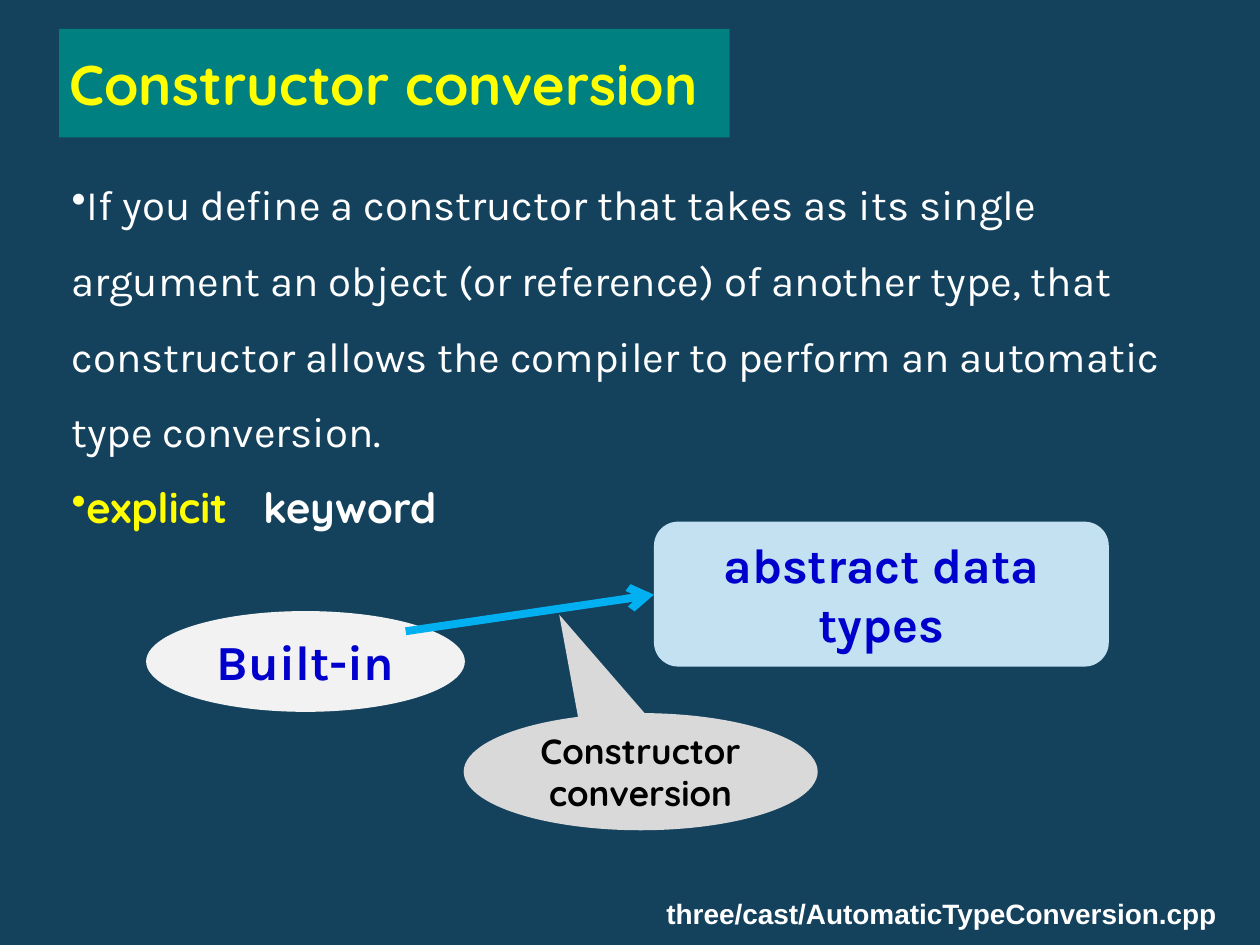
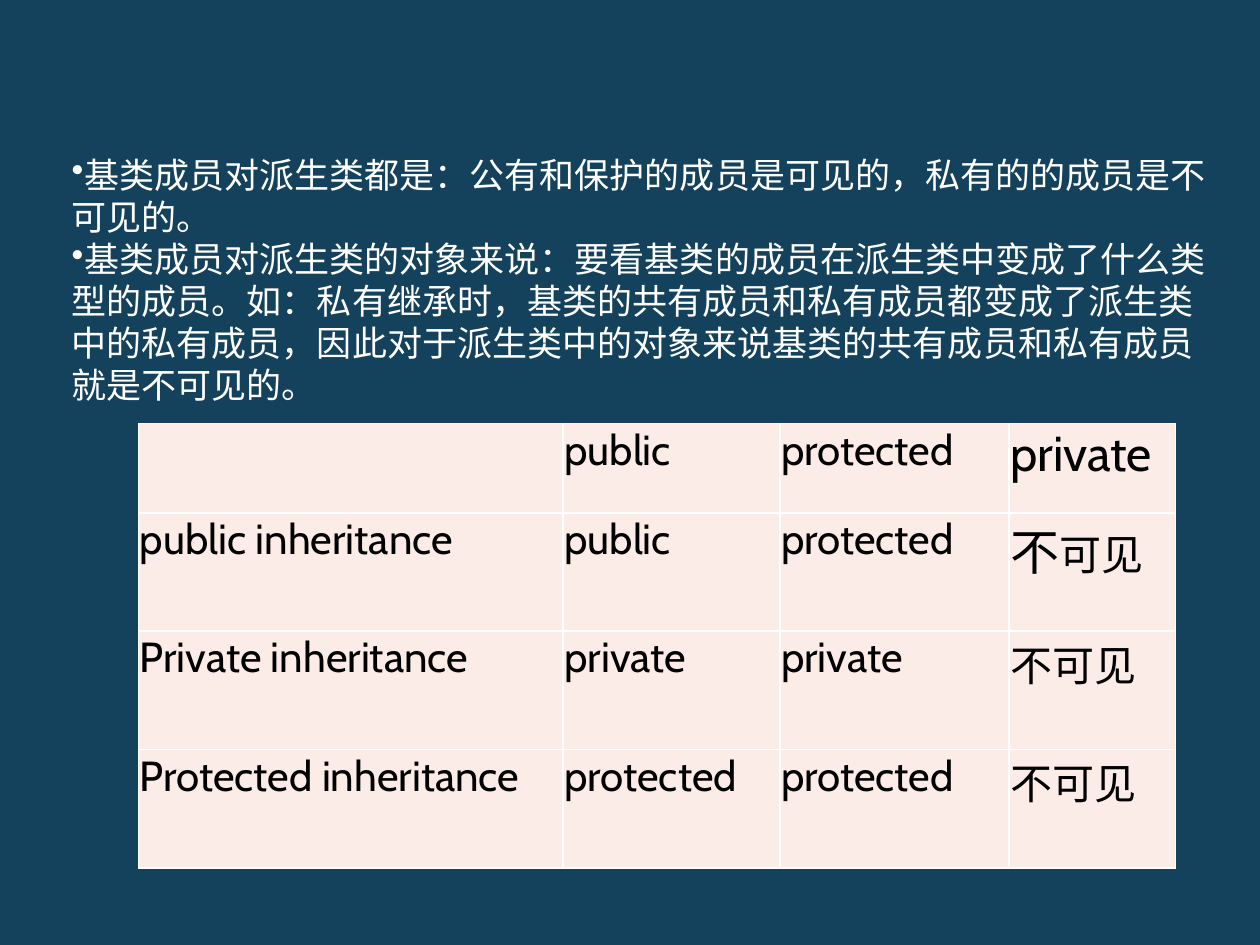
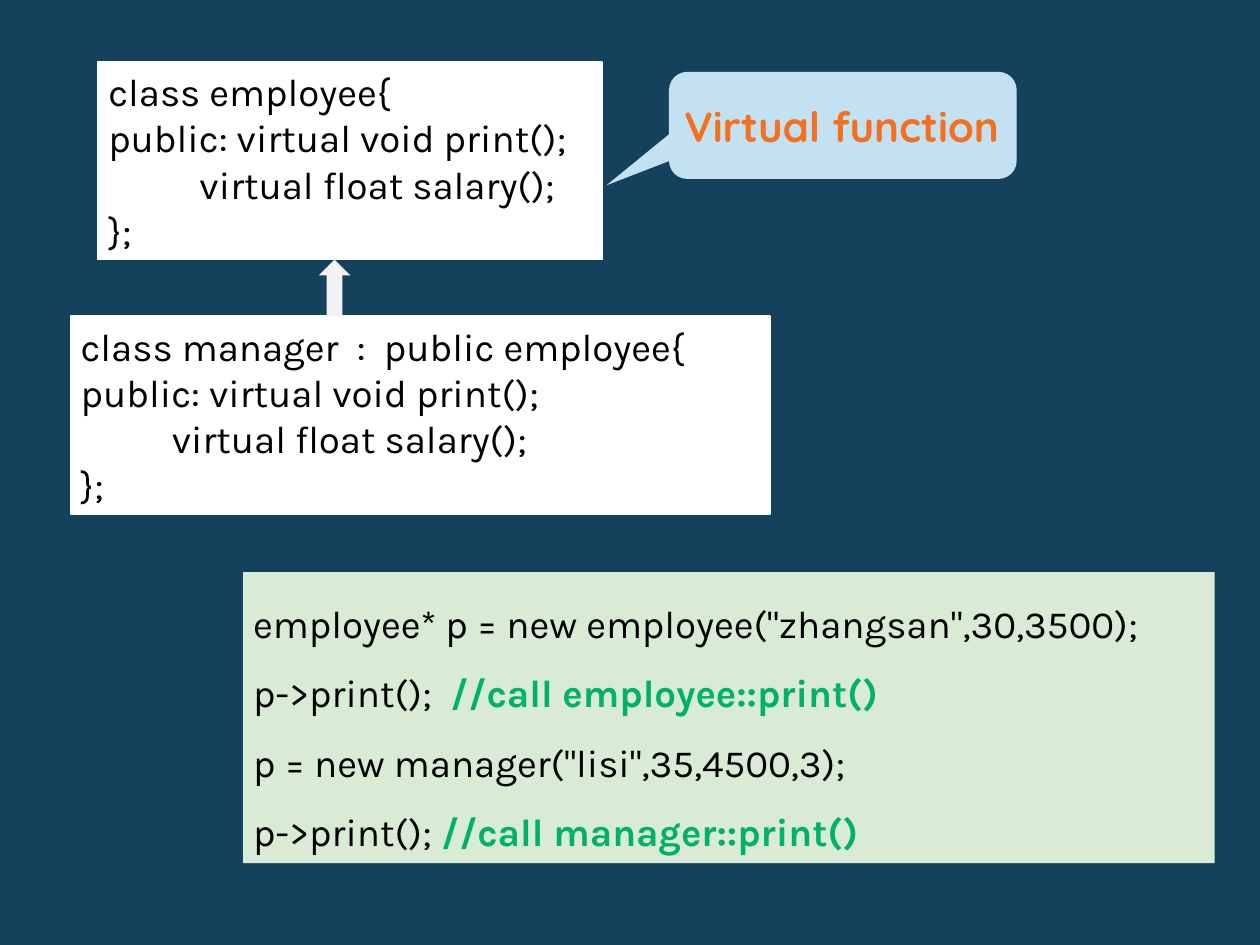
from dataclasses import dataclass
from typing import NamedTuple

from lxml import etree
from pptx import Presentation
from pptx.dml.color import RGBColor
from pptx.enum.shapes import MSO_CONNECTOR, MSO_SHAPE
from pptx.enum.text import MSO_ANCHOR, PP_ALIGN
from pptx.oxml.ns import qn
from pptx.util import Inches, Pt

RECT = MSO_SHAPE.RECTANGLE
ELLIPSE = MSO_SHAPE.OVAL
ROUNDED = MSO_SHAPE.ROUNDED_RECTANGLE
ELLIPSE_CALLOUT = MSO_SHAPE.OVAL_CALLOUT
ROUNDED_CALLOUT = MSO_SHAPE.ROUNDED_RECTANGULAR_CALLOUT
UP_ARROW = MSO_SHAPE.UP_ARROW
STRAIGHT = MSO_CONNECTOR.STRAIGHT
TOP, MIDDLE = MSO_ANCHOR.TOP, MSO_ANCHOR.MIDDLE
LEFT, CENTER = PP_ALIGN.LEFT, PP_ALIGN.CENTER

TITLE_ONLY, BLANK = 5, 6

NAVY, TEAL, YELLOW = "14425D", "008080", "FFFF00"
WHITE, BLACK, BLUE = "FFFFFF", "000000", "0000CC"
PALE_GRAY, GRAY, PALE_BLUE = "F2F2F2", "D9D9D9", "C4E1F2"
SKY, PINK, PALE_GREEN = "00B0F0", "FCECE7", "D9EAD5"
GREEN, ORANGE = "00B16A", "F37021"

BODY, DISPLAY, CJK, TABLE_FONT = "Karla", "Quicksand", "Noto Sans CJK SC", "Cabin"

WIDE_INSETS = (0.1, 0.05, 0.1, 0.05)
NARROW_INSETS = (0.08, 0.04, 0.08, 0.04)
CELL_INSETS = (0.01, 0.01, 0.01, 0)


class Span(NamedTuple):
    text: str
    size: float
    font: str = BODY
    color: str = BLACK
    bold: bool = False


Lines = list[list[Span]]


class Box(NamedTuple):
    left: float
    top: float
    width: float
    height: float

    def emu(self) -> list[int]:
        return [Inches(v) for v in self]


@dataclass
class TextStyle:
    insets: tuple = WIDE_INSETS
    anchor: MSO_ANCHOR = TOP
    align: PP_ALIGN = LEFT
    spacing: float = 1.0
    bullet: str = ""
    tab: float = 0


@dataclass
class Panel:
    kind: MSO_SHAPE
    box: Box
    fill: str
    lines: Lines
    style: TextStyle
    line: str = ""
    adjustments: tuple = ()


CENTERED = TextStyle(align=CENTER)
CODE = TextStyle(NARROW_INSETS, MIDDLE)


def rgb(color: str) -> RGBColor:
    return RGBColor.from_string(color)


def add_span(p, span: Span) -> None:
    r = p.add_run()
    r.text = span.text
    r.font.size = Pt(span.size)
    r.font.bold = span.bold
    r.font.color.rgb = rgb(span.color)
    r.font.name = span.font
    etree.SubElement(r.font._element, qn("a:ea"), typeface=span.font)


def add_bullet_and_tab(p, bullet: str, tab: float) -> None:
    p_pr = p._p.get_or_add_pPr()
    if bullet:
        p_pr.set("marL", "0")
        p_pr.set("indent", "0")
        etree.SubElement(p_pr, qn("a:buChar"), char=bullet)
    if tab:
        tabs = etree.SubElement(p_pr, qn("a:tabLst"))
        etree.SubElement(tabs, qn("a:tab"), pos=str(Inches(tab)), algn="l")


def write_text(tf, lines: Lines, style: TextStyle) -> None:
    tf.word_wrap = True
    tf.vertical_anchor = style.anchor
    (tf.margin_left, tf.margin_top,
     tf.margin_right, tf.margin_bottom) = [Inches(v) for v in style.insets]
    for i, line in enumerate(lines):
        p = tf.add_paragraph() if i else tf.paragraphs[0]
        add_bullet_and_tab(p, style.bullet, style.tab)
        p.alignment = style.align
        p.line_spacing = style.spacing
        p.space_before = Pt(0)
        for span in line:
            add_span(p, span)


def add_text(s, box: Box, lines: Lines, style: TextStyle) -> None:
    write_text(s.shapes.add_textbox(*box.emu()).text_frame, lines, style)


def add_panel(s, panel: Panel) -> None:
    sp = s.shapes.add_shape(panel.kind, *panel.box.emu())
    sp.shadow.inherit = False
    for i, value in enumerate(panel.adjustments):
        sp.adjustments[i] = value
    sp.fill.solid()
    sp.fill.fore_color.rgb = rgb(panel.fill)
    if panel.line:
        sp.line.color.rgb = rgb(panel.line)
        sp.line.width = Pt(1)
    else:
        sp.line.fill.background()
    write_text(sp.text_frame, panel.lines, panel.style)


def add_title(s, text: str) -> None:
    title = s.shapes.title
    title.left, title.top, title.width, title.height = Box(0.47, 0.23, 5.32, 0.86).emu()
    title.fill.solid()
    title.fill.fore_color.rgb = rgb(TEAL)
    write_text(title.text_frame, [[Span(text, 32, DISPLAY, YELLOW, True)]], CODE)


def add_arrow(s, start: tuple, end: tuple, color: str, width: float) -> None:
    arrow = s.shapes.add_connector(STRAIGHT, *[Inches(v) for v in (*start, *end)])
    arrow.line.color.rgb = rgb(color)
    arrow.line.width = Pt(width)
    etree.SubElement(arrow.line._get_or_add_ln(), qn("a:tailEnd"), type="arrow")
    etree.SubElement(arrow._element.spPr, qn("a:effectLst"))


def format_cell(cell, spans: list[Span]) -> None:
    tc_pr = cell._tc.get_or_add_tcPr()
    for side in ("lnL", "lnR", "lnT", "lnB"):
        ln = etree.SubElement(tc_pr, qn(f"a:{side}"), w=str(Pt(1)))
        fill = etree.SubElement(ln, qn("a:solidFill"))
        etree.SubElement(fill, qn("a:srgbClr"), val=WHITE)
    cell.fill.solid()
    cell.fill.fore_color.rgb = rgb(PINK)
    (cell.margin_left, cell.margin_top,
     cell.margin_right, cell.margin_bottom) = [Inches(v) for v in CELL_INSETS]
    for span in spans:
        add_span(cell.text_frame.paragraphs[0], span)


def add_grid(s, box: Box, widths: list, heights: list, rows: list) -> None:
    table = s.shapes.add_table(len(heights), len(widths), *box.emu()).table
    table.first_row = table.horz_banding = False
    for column, width in zip(table.columns, widths):
        column.width = Inches(width)
    for row, height, contents in zip(table.rows, heights, rows):
        row.height = Inches(height)
        for cell, spans in zip(row.cells, contents):
            format_cell(cell, spans)


def build_conversion(prs) -> None:
    s = prs.slides.add_slide(prs.slide_layouts[TITLE_ONLY])
    add_title(s, "Constructor conversion")
    add_text(s, Box(0.47, 1.17, 9.24, 2.52), [
        [Span("If you define a constructor that takes as its single argument an object "
              "(or reference) of another type, that constructor allows the compiler to "
              "perform an automatic type conversion.", 24, BODY, WHITE)],
        [Span("explicit\t", 24, DISPLAY, YELLOW, True),
         Span("keyword", 24, DISPLAY, WHITE, True)],
    ], TextStyle(spacing=1.5, bullet="•", tab=1.52))
    add_text(s, Box(5.19, 7.07, 4.72, 0.37),
             [[Span("three/cast/AutomaticTypeConversion.cpp", 16, "Arial", WHITE, True)]],
             TextStyle())
    add_panel(s, Panel(ELLIPSE, Box(1.16, 4.85, 2.53, 0.8), PALE_GRAY,
                       [[Span("Built-in", 28, BODY, BLUE, True)]], CENTERED))
    add_panel(s, Panel(ROUNDED, Box(5.19, 4.14, 3.61, 1.15), PALE_BLUE,
                       [[Span("abstract data types", 28, BODY, BLUE, True)]], CENTERED))
    add_arrow(s, (3.22, 5.01), (5.19, 4.72), SKY, 4.5)
    add_panel(s, Panel(ELLIPSE_CALLOUT, Box(3.68, 5.66, 2.81, 0.93), GRAY,
                       [[Span("Constructor conversion", 20, DISPLAY, BLACK, True)]],
                       TextStyle(anchor=MIDDLE, align=CENTER), adjustments=(-0.23, -1.34)))


def build_inheritance(prs) -> None:
    s = prs.slides.add_slide(prs.slide_layouts[BLANK])
    notes = [
        "基类成员对派生类都是：公有和保护的成员是可见的，私有的的成员是不可见的。",
        "基类成员对派生类的对象来说：要看基类的成员在派生类中变成了什么类型的成员。"
        "如：私有继承时，基类的共有成员和私有成员都变成了派生类中的私有成员，"
        "因此对于派生类中的对象来说基类的共有成员和私有成员就是不可见的。",
    ]
    add_text(s, Box(0.47, 1.17, 9.24, 2.12),
             [[Span(note, 20, CJK, WHITE)] for note in notes], TextStyle(bullet="•"))

    def words(*texts: str) -> list[list[Span]]:
        return [[Span(text, 24, TABLE_FONT)] for text in texts]

    hidden = [Span("不可见", 24, CJK)]
    rows = [
        [[], *words("public", "protected"), [Span("private", 28, TABLE_FONT)]],
        [*words("public inheritance", "public", "protected"),
         [Span("不", 28, CJK), Span("可见", 24, CJK)]],
        [*words("Private inheritance", "private", "private"), hidden],
        [*words("Protected inheritance", "protected", "protected"), hidden],
    ]
    add_grid(s, Box(1.1, 3.36, 8.23, 3.54), [3.37, 1.72, 1.82, 1.32],
             [0.71] + [0.94] * 3, rows)


def build_virtual_functions(prs) -> None:
    s = prs.slides.add_slide(prs.slide_layouts[BLANK])
    members = ["public: virtual void print();", "          virtual float salary();", "};"]
    classes = [
        ("class employee{", Box(0.78, 0.49, 4, 1.57)),
        ("class manager  :  public employee{", Box(0.56, 2.51, 5.55, 1.57)),
    ]
    for heading, box in classes:
        add_panel(s, Panel(RECT, box, WHITE,
                           [[Span(text, 22)] for text in [heading, *members]],
                           CODE, line=WHITE))
    add_panel(s, Panel(UP_ARROW, Box(2.53, 2.06, 0.25, 0.45), PALE_GRAY, [], CODE))
    add_panel(s, Panel(ROUNDED_CALLOUT, Box(5.31, 0.57, 2.76, 0.85), PALE_BLUE,
                       [[Span("Virtual function", 24, DISPLAY, ORANGE, True)]], CODE,
                       adjustments=(-0.68, 0.56, 0.17)))
    calls = [
        ('employee* p = new employee("zhangsan",30,3500);', ""),
        ("p->print();  ", "//call employee::print()"),
        ('p = new manager("lisi",35,4500,3);', ""),
        ("p->print(); ", "//call manager::print()"),
    ]
    lines = [[Span(code, 22)] + ([Span(comment, 22, BODY, GREEN, True)] if comment else [])
             for code, comment in calls]
    add_panel(s, Panel(RECT, Box(1.93, 4.54, 7.71, 2.31), PALE_GREEN, lines,
                       TextStyle(NARROW_INSETS, spacing=1.5)))


def main() -> None:
    prs = Presentation()
    prs.slide_width, prs.slide_height = Inches(10), Inches(7.5)
    background = prs.slide_master.background.fill
    background.solid()
    background.fore_color.rgb = rgb(NAVY)
    build_conversion(prs)
    build_inheritance(prs)
    build_virtual_functions(prs)
    prs.save("out.pptx")


if __name__ == "__main__":
    main()
